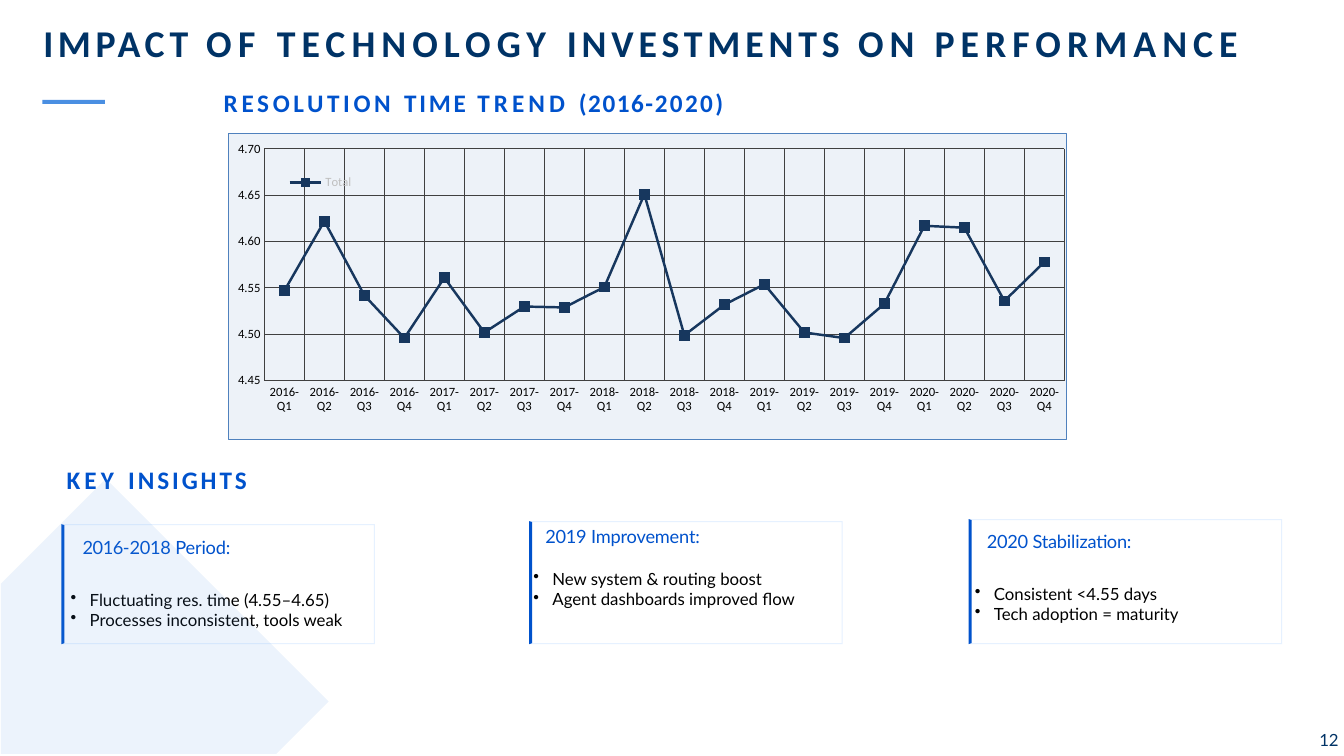
from lxml import etree
from pptx import Presentation
from pptx.chart.data import CategoryChartData
from pptx.dml.color import RGBColor
from pptx.enum.chart import XL_CHART_TYPE, XL_LEGEND_POSITION, XL_MARKER_STYLE, XL_TICK_MARK
from pptx.enum.shapes import MSO_SHAPE
from pptx.oxml import parse_xml
from pptx.oxml.ns import nsdecls, qn
from pptx.util import Inches, Pt

LINE_CHART = XL_CHART_TYPE.LINE_MARKERS
LEGEND_RIGHT = XL_LEGEND_POSITION.RIGHT
SQUARE = XL_MARKER_STYLE.SQUARE
NO_TICK = XL_TICK_MARK.NONE
RECTANGLE = MSO_SHAPE.RECTANGLE

NAVY = RGBColor(0x00, 0x33, 0x66)
BLUE = RGBColor(0x00, 0x52, 0xCC)
SKY = RGBColor(0x4A, 0x8F, 0xE2)
PALE = RGBColor(0xE6, 0xF1, 0xFF)
BLACK = RGBColor(0x00, 0x00, 0x00)
SERIES = RGBColor(0x17, 0x37, 0x5E)
GRID = RGBColor(0x40, 0x40, 0x40)
LEGEND = RGBColor(0xBF, 0xBF, 0xBF)

COLUMNS, ROWS = 133.33, 75  # square grid cells, a tenth of an inch each
CARD_WIDTH, CARD_BOTTOM = 31.1, 63.9
EDGE, ACCENT = 0.1, 0.3

TITLE = [("IMPACT ", 3.3), ("OF ", 4.6), ("TECHNOLOGY ", 4.3),
         ("INVESTMENTS ", 3.5), ("ON ", 4.1), ("PERFORMANCE", 4.3)]
TREND_HEADING = [("RESOLUTION ", 2.6), ("TIME ", 2), ("TREND ", 2.9),
                 ("(2016-", 1.1), ("2020)", 1.7)]
INSIGHTS_HEADING = [("KEY ", 3), ("INSIGHTS", 2.1)]

# card left and top, text box, heading, gap above the bullets, bullets
INSIGHTS = [
    ((52.5, 51.7), (52.9, 51.2, 26.8, 10), [("2019 ", -0.2), ("Improvement:", -0.1)], 15.6,
     ["New system & routing boost", "Agent dashboards improved flow"]),
    ((96.1, 51.5), (96.7, 51.7, 21.5, 10.3), [("2020 ", -0.2), ("Stabilization:", -0.1)], 22.4,
     ["Consistent <4.55 days", "Tech adoption = maturity"]),
    ((6.1, 52), (7, 52.3, 29.7, 11.5),
     [("2016-", -0.3), ("2018 ", -0.2), ("Period:", -0.1)], 22.4,
     ["Fluctuating res. time (4.55–4.65)", "Processes inconsistent, tools weak"]),
]

QUARTERS = [f"{year}-Q{quarter}" for year in range(2016, 2021) for quarter in range(1, 5)]
RESOLUTION_DAYS = [4.547, 4.622, 4.542, 4.496, 4.561, 4.502, 4.53, 4.529, 4.551, 4.651,
                   4.499, 4.532, 4.554, 4.502, 4.496, 4.533, 4.617, 4.615, 4.536, 4.578]


def cells(*lengths):
    return [Inches(length / 10) for length in lengths]


def style_font(font, name, size, color, bold=False):
    font.name, font.size, font.bold = name, Pt(size), bold
    font.color.rgb = color


def set_layout(parent, position, x, y, w, h, inner=False):
    """Place a chart part by shares of the chart's size."""
    for old in parent.findall(qn("c:layout")):
        parent.remove(old)
    target = '<c:layoutTarget val="inner"/>' if inner else ""
    parent.insert(position, parse_xml(
        f'<c:layout {nsdecls("c")}><c:manualLayout>{target}'
        '<c:xMode val="edge"/><c:yMode val="edge"/>'
        f'<c:x val="{x}"/><c:y val="{y}"/><c:w val="{w}"/><c:h val="{h}"/>'
        '</c:manualLayout></c:layout>'))


class SlideBuilder:
    heading_font = "Calibri"
    body_font = "Lato"

    def __init__(self, slide):
        self.slide = slide

    def paint(self, shape, color, opacity=None):
        shape.shadow.inherit = False
        shape.fill.solid()
        shape.fill.fore_color.rgb = color
        shape.line.fill.background()
        if opacity is not None:
            tint = shape.fill._xPr.find(qn("a:solidFill"))[0]
            etree.SubElement(tint, qn("a:alpha")).set("val", str(opacity * 1000))

    def bar(self, box, color):
        self.paint(self.slide.shapes.add_shape(RECTANGLE, *cells(*box)), color)

    def outline(self, points, color, opacity=None):
        corners = [cells(*point) for point in points]
        builder = self.slide.shapes.build_freeform(*corners[0])
        builder.add_line_segments(corners[1:], close=True)
        self.paint(builder.convert_to_shape(), color, opacity)

    def card(self, left, top):
        """Thin frame open to the left, where a bevelled accent closes it."""
        right, bottom = left + CARD_WIDTH, CARD_BOTTOM
        self.outline([(left, top), (right, top), (right, bottom), (left, bottom),
                      (left, bottom - EDGE), (right - EDGE, bottom - EDGE),
                      (right - EDGE, top + EDGE), (left, top + EDGE)], PALE)
        self.outline([(left, bottom), (left, top), (left + ACCENT, top + EDGE),
                      (left + ACCENT, bottom - EDGE)], BLUE)

    def text_frame(self, box, top_inset):
        frame = self.slide.shapes.add_textbox(*cells(*box)).text_frame
        frame.word_wrap = True
        frame.margin_left = frame.margin_right = frame.margin_bottom = 0
        frame.margin_top = Inches(top_inset)
        return frame

    def spaced_runs(self, paragraph, words, font, size, color, bold, indent):
        paragraph._p.get_or_add_pPr().set("marL", str(Inches(indent)))
        for word, spacing in words:
            run = paragraph.add_run()
            run.text = word
            style_font(run.font, font, size, color, bold)
            run._r.get_or_add_rPr().set("spc", str(round(spacing * 100)))

    def line(self, box, words, size, color, font=heading_font, bold=True):
        frame = self.text_frame(box, 0.01)
        self.spaced_runs(frame.paragraphs[0], words, font, size, color, bold, 0.01)

    def insight(self, box, heading, gap, bullets):
        frame = self.text_frame(box, 0.09)
        self.spaced_runs(frame.paragraphs[0], heading, self.body_font, 13, BLUE, False, 0.12)
        for index, bullet in enumerate(bullets):
            paragraph = frame.add_paragraph()
            paragraph.text = bullet
            properties = paragraph._p.get_or_add_pPr()
            properties.set("marL", str(Inches(0.19)))
            properties.set("indent", str(-Inches(0.19)))
            etree.SubElement(properties, qn("a:buChar")).set("char", "•")
            paragraph.space_before = Pt(0 if index else gap)
            style_font(paragraph.runs[0].font, self.body_font, 12, BLACK)

    def trend_chart(self, box, name, categories, values):
        data = CategoryChartData(number_format="0.00")
        data.categories = categories
        data.add_series(name, values)
        chart = self.slide.shapes.add_chart(LINE_CHART, *cells(*box), data).chart
        chart.has_title = False
        style_font(chart.font, self.heading_font, 10, BLACK)

        for axis in (chart.category_axis, chart.value_axis):
            axis.major_tick_mark = axis.minor_tick_mark = NO_TICK
            axis.format.line.fill.background()
            axis.has_major_gridlines = True
            axis.major_gridlines.format.line.color.rgb = GRID
            axis.major_gridlines.format.line.width = Pt(0.75)
            style_font(axis.tick_labels.font, self.heading_font, 9, BLACK)
        days = chart.value_axis
        days.minimum_scale, days.maximum_scale, days.major_unit = 4.45, 4.7, 0.05
        days.tick_labels.number_format = "0.00"
        days.tick_labels.number_format_is_linked = False

        plot = chart.plots[0]
        plot.vary_by_categories = False
        total = plot.series[0]
        total.smooth = False
        total.format.line.color.rgb = SERIES
        total.format.line.width = Pt(1.75)
        total.marker.style, total.marker.size = SQUARE, 7
        total.marker.format.fill.solid()
        total.marker.format.fill.fore_color.rgb = SERIES
        total.marker.format.line.color.rgb = SERIES

        chart.has_legend = True
        chart.legend.position = LEGEND_RIGHT
        chart.legend.include_in_layout = True
        style_font(chart.legend.font, self.heading_font, 9, LEGEND)
        root = chart.element.find(qn("c:chart"))
        set_layout(root.find(qn("c:plotArea")), 0, 0.043, 0.05, 0.954, 0.757, inner=True)
        set_layout(root.find(qn("c:legend")), 1, 0.06, 0.12, 0.1, 0.08)
        root.addnext(parse_xml(
            f'<c:spPr {nsdecls("c", "a")}><a:solidFill><a:srgbClr val="DCE6F2">'
            '<a:alpha val="50000"/></a:srgbClr></a:solidFill><a:ln w="9525">'
            '<a:solidFill><a:srgbClr val="4F81BD"/></a:solidFill></a:ln></c:spPr>'))


def main():
    deck = Presentation()
    deck.slide_width, deck.slide_height = cells(COLUMNS, ROWS)
    page = SlideBuilder(deck.slides.add_slide(deck.slide_layouts[6]))

    page.bar((4.2, 9.9, 6.2, 0.4), SKY)
    page.line((4.2, 1.9, 119.1, 4.8), TITLE, 27, NAVY)
    page.line((22.1, 8.6, 49.9, 3.3), TREND_HEADING, 18, BLUE)
    page.line((6.5, 46, 18.5, 3.3), INSIGHTS_HEADING, 18, BLUE)
    for corner, text_box, heading, gap, bullets in INSIGHTS:
        page.card(*corner)
        page.insight(text_box, heading, gap, bullets)
    page.outline([(10.5, 47.5), (32.6, 69.6), (27.4, 74.8), (0.1, 74.8), (0.1, 57.9)],
                 SKY, opacity=10)
    page.line((130.8, 72.3, 2.2, 2.3), [("12", -0.2)], 12, NAVY, page.body_font, bold=False)
    page.trend_chart((22.6, 13.2, 83.3, 30.5), "Total", QUARTERS, RESOLUTION_DAYS)
    deck.save("out.pptx")


if __name__ == "__main__":
    main()
